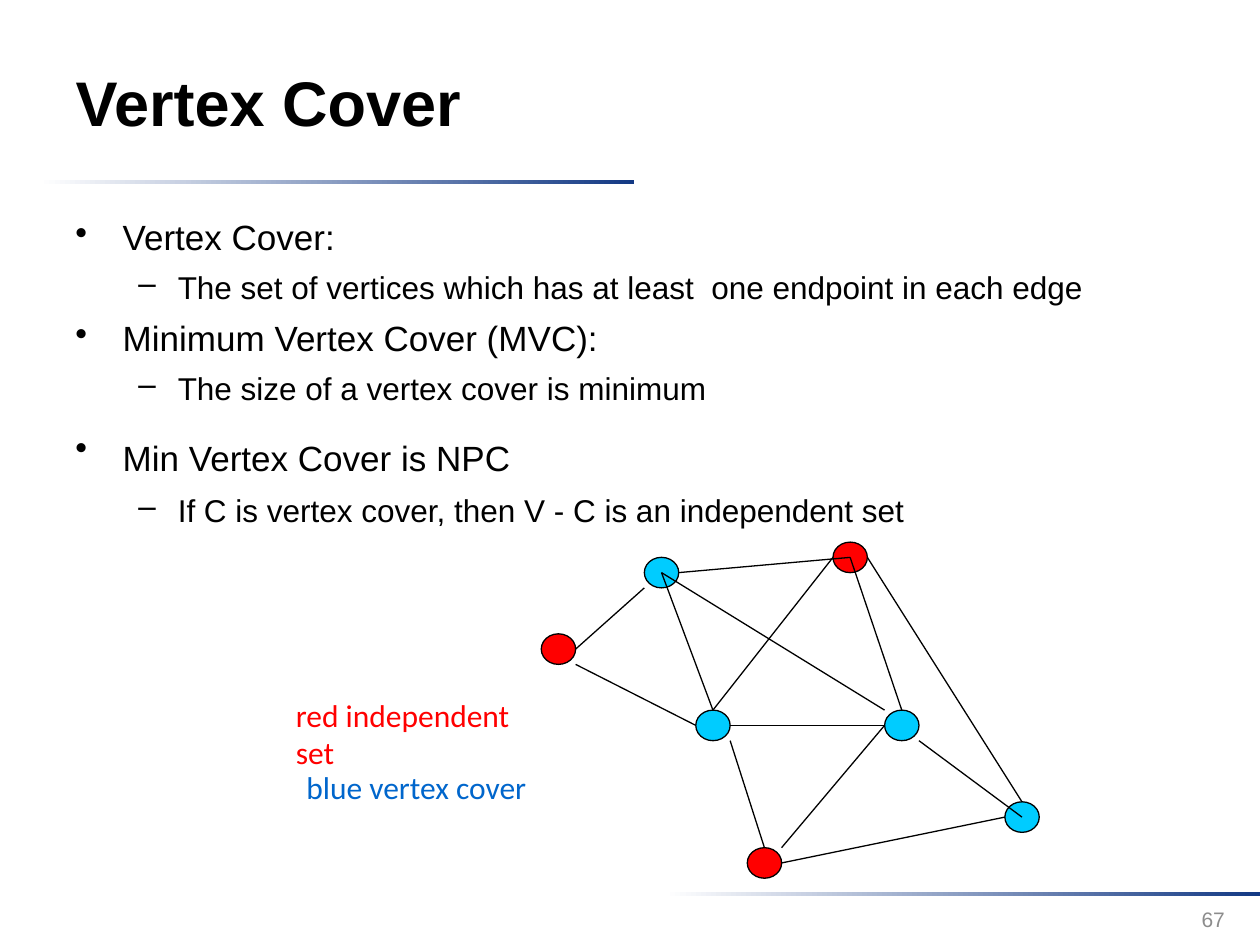
from lxml import etree
from pptx import Presentation
from pptx.dml.color import RGBColor
from pptx.enum.shapes import MSO_CONNECTOR, MSO_SHAPE
from pptx.enum.text import MSO_ANCHOR, MSO_AUTO_SIZE, PP_ALIGN
from pptx.oxml.ns import qn
from pptx.util import Pt

RECT, OVAL = MSO_SHAPE.RECTANGLE, MSO_SHAPE.OVAL
LINE = MSO_CONNECTOR.STRAIGHT
TOP, MID = MSO_ANCHOR.TOP, MSO_ANCHOR.MIDDLE
LEFT, RIGHT = PP_ALIGN.LEFT, PP_ALIGN.RIGHT
FIXED = MSO_AUTO_SIZE.NONE

BLACK, RED, CYAN = "000000", "FF0000", "00CCFF"
TITLE = "Vertex Cover"
POINTS = [
    ("Vertex Cover:", "The set of vertices which has at least  one endpoint in each edge"),
    ("Minimum Vertex Cover (MVC):", "The size of a vertex cover is minimum"),
    ("Min Vertex Cover is NPC ", "If C is vertex cover, then V - C is an independent set"),
]
LEVELS = [("•", 20, 27, -27), ("–", 18, 58.5, -22.5)]
BARS = [(22.5, 103), (380.2, 509.8)]
NOTES = [
    ("red independent set", (162, 394, 155, 29), "Calibri", 18, RED, LEFT, TOP),
    ("blue vertex cover", (168, 435.5, 144, 29), "Calibri", 18, "0066CC", LEFT, TOP),
    ("67", (539, 510.5, 168, 29), "Arial", 12, "8C8C8C", RIGHT, MID),
]
WIDE, HIGH = 19.64, 17.45
NODES = {
    "west": (309.3, 362.2, RED),
    "north": (476, 309.8, RED),
    "south": (427, 484.4, RED),
    "peak": (368.2, 318.5, CYAN),
    "east": (574.2, 458.2, CYAN),
    "left": (397.6, 405.8, CYAN),
    "right": (505.5, 405.8, CYAN),
}
SPOTS = {
    "c": (0.5, 0.5), "t": (0.5, 0), "l": (0, 0.5), "r": (1, 0.5),
    "tl": (0, 0), "tr": (1, 0), "bl": (0, 1), "br": (1, 1),
}
EDGES = [
    ("peak", "c", "right", "tl"),
    ("west", "r", "peak", "bl"),
    ("west", "br", "left", "l"),
    ("south", "tr", "right", "l"),
    ("peak", "r", "north", "c"),
    ("left", "t", "peak", "c"),
    ("left", "br", "south", "t"),
    ("right", "t", "north", "c"),
    ("north", "l", "left", "t"),
    ("right", "br", "east", "c"),
    ("south", "r", "east", "l"),
    ("north", "r", "east", "t"),
    ("left", "r", "right", "l"),
]


def color(code):
    return RGBColor.from_string(code)


def style(para, face, size, code, side=LEFT):
    para.font.name = face
    para.font.size = Pt(size)
    para.font.color.rgb = color(code)
    para.alignment = side


def add_text(slide, box, anchor=TOP):
    frame = slide.shapes.add_textbox(*map(Pt, box)).text_frame
    frame.word_wrap = True
    frame.vertical_anchor = anchor
    return frame


def add_shape(slide, kind, box):
    shape = slide.shapes.add_shape(kind, *map(Pt, box))
    shape.shadow.inherit = False
    return shape


def add_bar(slide, left, top):
    bar = add_shape(slide, RECT, (left, top, 339.8, 2))
    bar.line.fill.background()
    bar.fill.gradient()
    bar.fill.gradient_angle = 0
    for stop, code in zip(bar.fill.gradient_stops, ("FFFFFF", "133984")):
        stop.color.rgb = color(code)


def add_title(slide):
    title = slide.shapes.title
    title.left, title.top, title.width, title.height = map(Pt, (36, 13, 556.5, 90))
    frame = title.text_frame
    frame.text = TITLE
    frame.auto_size = FIXED
    frame.vertical_anchor = MID
    para = frame.paragraphs[0]
    style(para, "Arial", 36, BLACK)
    para.font.bold = True


def add_points(slide):
    frame = add_text(slide, (36, 117.4, 636, 198))
    rows = [(text, level) for pair in POINTS for level, text in enumerate(pair)]
    for i, (text, level) in enumerate(rows):
        para = frame.add_paragraph() if i else frame.paragraphs[0]
        mark, size, margin, indent = LEVELS[level]
        para.level = level
        style(para, "Arial", size, BLACK)
        para.line_spacing = 1.1
        para.space_before = Pt(size * 0.2)
        para.add_run().text = text.rstrip()
        if text.endswith(" "):
            tail = para.add_run()
            tail.text = " "
            tail.font.size = Pt(28)
            para.space_before = Pt(5.6)
        props = para._p.get_or_add_pPr()
        props.set("marL", str(Pt(margin)))
        props.set("indent", str(Pt(indent)))
        bullet = etree.Element(qn("a:buChar"), char=mark)
        props.find(qn("a:defRPr")).addprevious(bullet)


def add_graph(slide):
    for left, top, code in NODES.values():
        node = add_shape(slide, OVAL, (left, top, WIDE, HIGH))
        node.fill.solid()
        node.fill.fore_color.rgb = color(code)
        node.line.color.rgb = color(BLACK)
        node.line.width = Pt(0.75)

    def place(name, spot):
        left, top, _ = NODES[name]
        across, down = SPOTS[spot]
        return Pt(left + across * WIDE), Pt(top + down * HIGH)

    for start, out, end, into in EDGES:
        edge = slide.shapes.add_connector(LINE, *place(start, out), *place(end, into))
        edge.line.color.rgb = color(BLACK)
        edge.line.width = Pt(0.75)
        etree.SubElement(edge._element.spPr, qn("a:effectLst"))


def main():
    deck = Presentation()
    deck.slide_width, deck.slide_height = Pt(720), Pt(540)
    slide = deck.slides.add_slide(deck.slide_layouts[5])
    for left, top in BARS:
        add_bar(slide, left, top)
    add_title(slide)
    add_points(slide)
    add_graph(slide)
    for text, box, face, size, code, side, anchor in NOTES:
        frame = add_text(slide, box, anchor)
        frame.text = text
        style(frame.paragraphs[0], face, size, code, side)
    deck.save("out.pptx")


if __name__ == "__main__":
    main()
